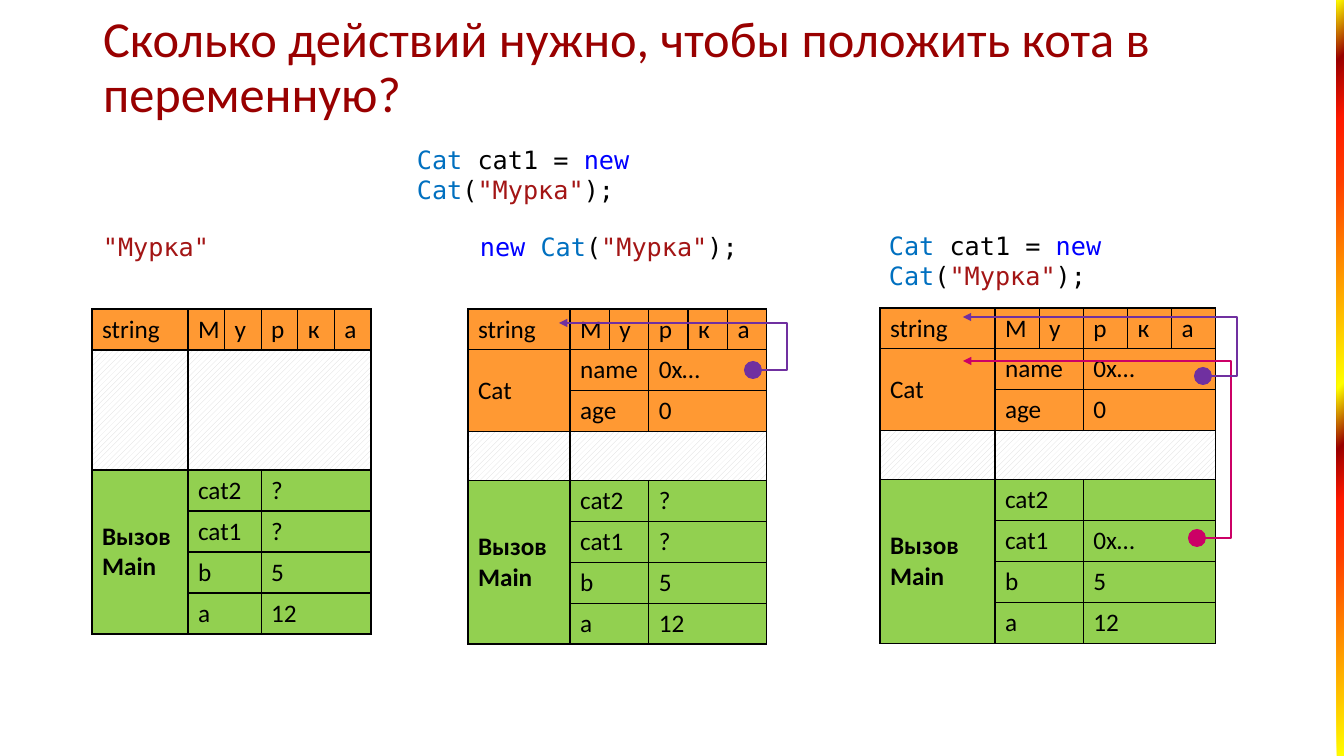
from dataclasses import dataclass
from lxml.etree import SubElement
from pptx import Presentation
from pptx.dml.color import RGBColor
from pptx.enum.dml import MSO_PATTERN
from pptx.enum.shapes import MSO_CONNECTOR, MSO_SHAPE
from pptx.enum.text import MSO_ANCHOR, MSO_AUTO_SIZE, PP_ALIGN
from pptx.oxml import parse_xml
from pptx.oxml.ns import nsdecls, qn
from pptx.util import Emu, Pt


@dataclass(frozen=True)
class Theme:
    body_font: str = "Calibri"
    code_font: str = "DejaVu Sans Mono"
    title_size: int = 36
    body_size: int = 18
    border: float = 1
    arrow: float = 1.5
    title: str = "990000"
    text: str = "000000"
    keyword: str = "0000FF"
    type_name: str = "0070C0"
    string: str = "A31515"
    heap: str = "FF9933"
    stack: str = "92D050"
    hatch: str = "D9D9D9"
    paper: str = "FFFFFF"
    purple: str = "7030A0"
    pink: str = "CC0066"


THEME = Theme()

# Content
TITLE = "Сколько действий нужно, чтобы положить кота в переменную?"
LITERAL = [('"Мурка"', THEME.string)]
CREATION = [("new ", THEME.keyword), ("Cat", THEME.type_name), ("(", THEME.text),
            *LITERAL, (");", THEME.text)]
ASSIGNMENT = [("Cat", THEME.type_name), (" cat1 = ", THEME.text), *CREATION]
# left, top, width, tokens
SNIPPETS = [
    (93, 226, 230, LITERAL),
    (470, 226, 295, CREATION),
    (879, 225, 422, ASSIGNMENT),
    (407, 139, 422, ASSIGNMENT),
]

# Memory blocks: label, fill (None is hatched free space), rows of cells
STRING_BLOCK = ("string", THEME.heap, [tuple("Мурка")])
CAT_BLOCK = ("Cat", THEME.heap, [("name", "0x…"), ("age", "0")])
FREE_BLOCK = ("", None, [("",)])


def main_call(cat2, cat1):
    rows = [("cat2", cat2), ("cat1", cat1), ("b", "5"), ("a", "12")]
    return ("Вызов Main", THEME.stack, rows)


# left, top, width, label width, row height, free height, blocks
MEMORY_TABLES = [
    (92, 309, 279, 96, 41, 120, [STRING_BLOCK, FREE_BLOCK, main_call("?", "?")]),
    (468, 309, 299, 102, 40, 49,
     [STRING_BLOCK, CAT_BLOCK, FREE_BLOCK, main_call("?", "?")]),
    (880, 308, 336, 115, 40, 49,
     [STRING_BLOCK, CAT_BLOCK, FREE_BLOCK, main_call("", "0x…")]),
]
LETTER_COLUMNS = 5
SPANS = {5: (1, 1, 1, 1, 1), 2: (2, 3), 1: (5,)}  # by number of cells in a row

# References: start, end, colour
REFERENCES = [
    ((762, 370), (559, 323), THEME.purple),
    ((1206, 538), (963, 361), THEME.pink),
    ((1212, 376), (963, 317), THEME.purple),
]
DOT = 18
DETOUR = 25

STRIPE_STOPS = [(0, "FFFF00"), (27, "FF3D00"), (34, "FF1900"), (41, "990000"),
                (49, "FFFF00"), (76, "FF3D00"), (84, "FF1900"), (92, "990000"),
                (100, "FFFF00")]
SLIDE_WIDTH, SLIDE_HEIGHT, STRIPE_WIDTH = 1344, 756, 7


def px(value):
    return Emu(round(value * 914400 / 100.8))


def rgb(color):
    return RGBColor.from_string(color)


def add_span(para, text, color, font, size=THEME.body_size, bold=False):
    span = para.add_run()
    span.text = text
    span.font.name, span.font.size, span.font.bold = font, Pt(size), bold
    span.font.color.rgb = rgb(color)


def add_plain_shape(page, kind, left, top, width, height):
    shape = page.shapes.add_shape(kind, px(left), px(top), px(width), px(height))
    shape.shadow.inherit = False
    shape.line.fill.background()
    return shape


def add_stripe(page):
    stripe = add_plain_shape(page, MSO_SHAPE.RECTANGLE, SLIDE_WIDTH - STRIPE_WIDTH, 0,
                             STRIPE_WIDTH, SLIDE_HEIGHT)
    stops = "".join(f'<a:gs pos="{position * 1000}"><a:srgbClr val="{color}"/></a:gs>'
                    for position, color in STRIPE_STOPS)
    gradient = parse_xml(f'<a:gradFill {nsdecls("a")}><a:gsLst>{stops}</a:gsLst>'
                         '<a:lin ang="13500000" scaled="0"/></a:gradFill>')
    stripe.fill.background()
    blank = stripe._element.spPr.find(qn("a:noFill"))
    blank.getparent().replace(blank, gradient)


def set_title(page):
    title = page.shapes.title
    title.left, title.top, title.width, title.height = px(93), px(15), px(1159), px(107)
    frame = title.text_frame
    frame.word_wrap = True
    frame.auto_size = MSO_AUTO_SIZE.NONE
    frame.vertical_anchor = MSO_ANCHOR.MIDDLE
    para = frame.paragraphs[0]
    para.alignment, para.line_spacing = PP_ALIGN.LEFT, 0.9
    add_span(para, TITLE, THEME.title, THEME.body_font, THEME.title_size)


def add_snippet(page, left, top, width, tokens):
    box = page.shapes.add_textbox(px(left), px(top), px(width), px(40))
    box.text_frame.word_wrap = True
    box.text_frame.auto_size = MSO_AUTO_SIZE.SHAPE_TO_FIT_TEXT
    for text, color in tokens:
        add_span(box.text_frame.paragraphs[0], text, color, THEME.code_font)


def style_cell(cell, fill):
    properties = cell._tc.get_or_add_tcPr()
    for side in ("lnL", "lnR", "lnT", "lnB"):
        line = SubElement(properties, qn(f"a:{side}"), w=str(Pt(THEME.border)))
        solid = SubElement(line, qn("a:solidFill"))
        SubElement(solid, qn("a:srgbClr"), val=THEME.text)
    if fill:
        cell.fill.solid()
        cell.fill.fore_color.rgb = rgb(fill)
    else:
        cell.fill.patterned()
        cell.fill.pattern = MSO_PATTERN.WIDE_UPWARD_DIAGONAL
        cell.fill.fore_color.rgb = rgb(THEME.hatch)
        cell.fill.back_color.rgb = rgb(THEME.paper)
    cell.vertical_anchor = MSO_ANCHOR.MIDDLE


def write_cell(table, row, column, last_row, last_column, text, bold=False):
    cell = table.cell(row, column)
    if (row, column) != (last_row, last_column):
        cell.merge(table.cell(last_row, last_column))
    if text:
        add_span(cell.text_frame.paragraphs[0], text, THEME.text, THEME.body_font, bold=bold)


def add_memory_table(page, left, top, width, label_width, row_height, free_height, blocks):
    heights = [row_height if fill else free_height for _, fill, rows in blocks for _ in rows]
    table = page.shapes.add_table(len(heights), LETTER_COLUMNS + 1, px(left), px(top),
                                  px(width), px(sum(heights))).table
    table.first_row = table.horz_banding = False
    for row, height in zip(table.rows, heights):
        row.height = px(height)
    table.columns[0].width = px(label_width)
    for index in range(1, LETTER_COLUMNS + 1):
        table.columns[index].width = px((width - label_width) / LETTER_COLUMNS)

    row = 0
    for label, fill, rows in blocks:
        write_cell(table, row, 0, row + len(rows) - 1, 0, label, fill == THEME.stack)
        for cells in rows:
            column = 1
            for text, count in zip(cells, SPANS[len(cells)]):
                write_cell(table, row, column, row, column + count - 1, text)
                column += count
            for index in range(LETTER_COLUMNS + 1):
                style_cell(table.cell(row, index), fill)
            row += 1


def add_reference(page, start, end, color):
    arrow = page.shapes.add_connector(MSO_CONNECTOR.ELBOW, *map(px, start + end))
    arrow.line.color.rgb = rgb(color)
    arrow.line.width = Pt(THEME.arrow)
    properties = arrow._element.spPr
    SubElement(arrow.line._get_or_add_ln(), qn("a:tailEnd"), type="triangle")
    SubElement(properties, qn("a:effectLst"))
    bend = round(-100000 * DETOUR / (start[0] - end[0]))
    guides = properties.find(qn("a:prstGeom")).find(qn("a:avLst"))
    SubElement(guides, qn("a:gd"), name="adj1", fmla=f"val {bend}")
    dot = add_plain_shape(page, MSO_SHAPE.OVAL, start[0] - DOT, start[1] - DOT / 2, DOT, DOT)
    dot.fill.solid()
    dot.fill.fore_color.rgb = rgb(color)


def main():
    deck = Presentation()
    deck.slide_width, deck.slide_height = px(SLIDE_WIDTH), px(SLIDE_HEIGHT)
    page = deck.slides.add_slide(deck.slide_layouts[5])
    add_stripe(page)
    set_title(page)
    for memory_table in MEMORY_TABLES:
        add_memory_table(page, *memory_table)
    for reference in REFERENCES:
        add_reference(page, *reference)
    for snippet in SNIPPETS:
        add_snippet(page, *snippet)
    deck.save("out.pptx")


if __name__ == "__main__":
    main()
